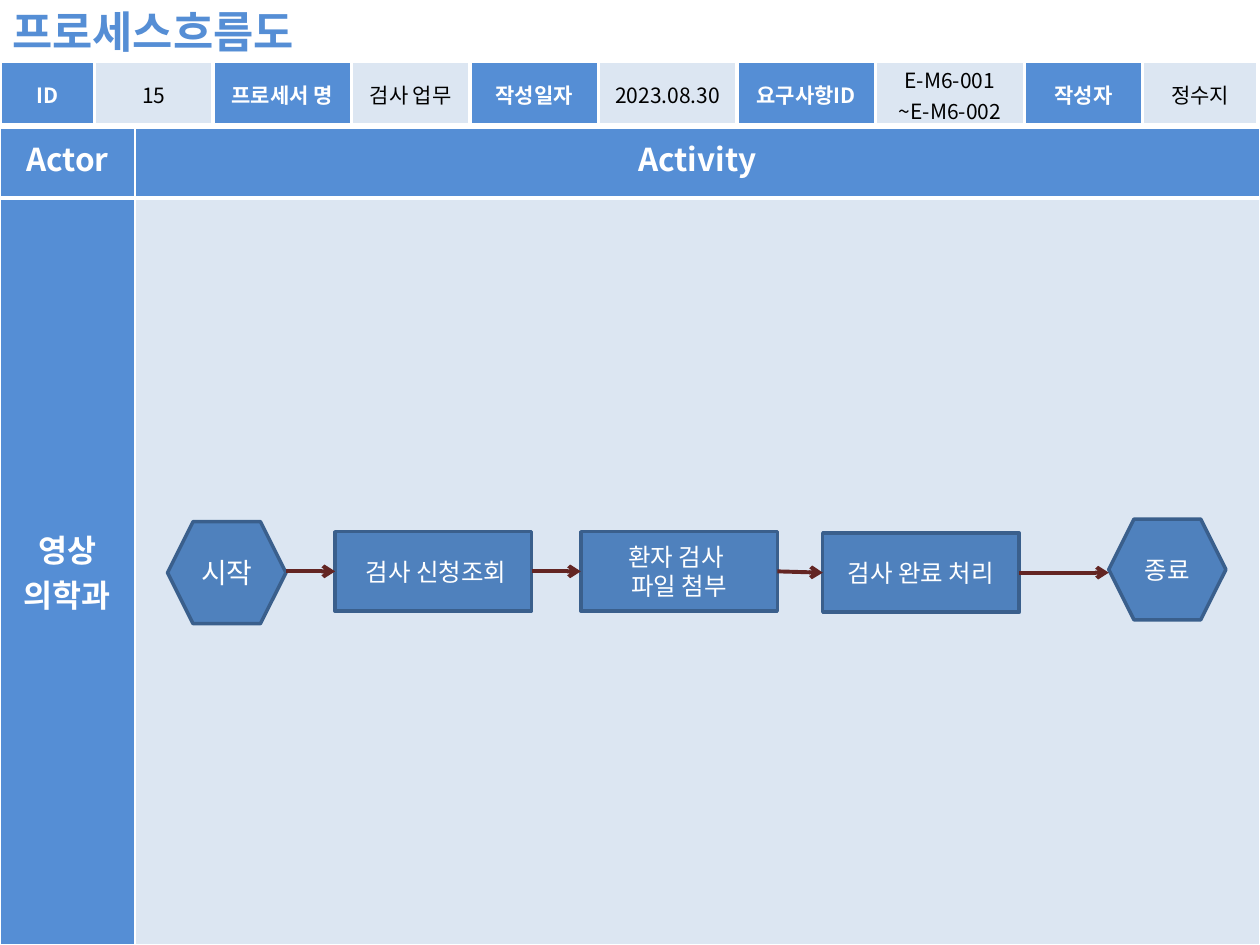
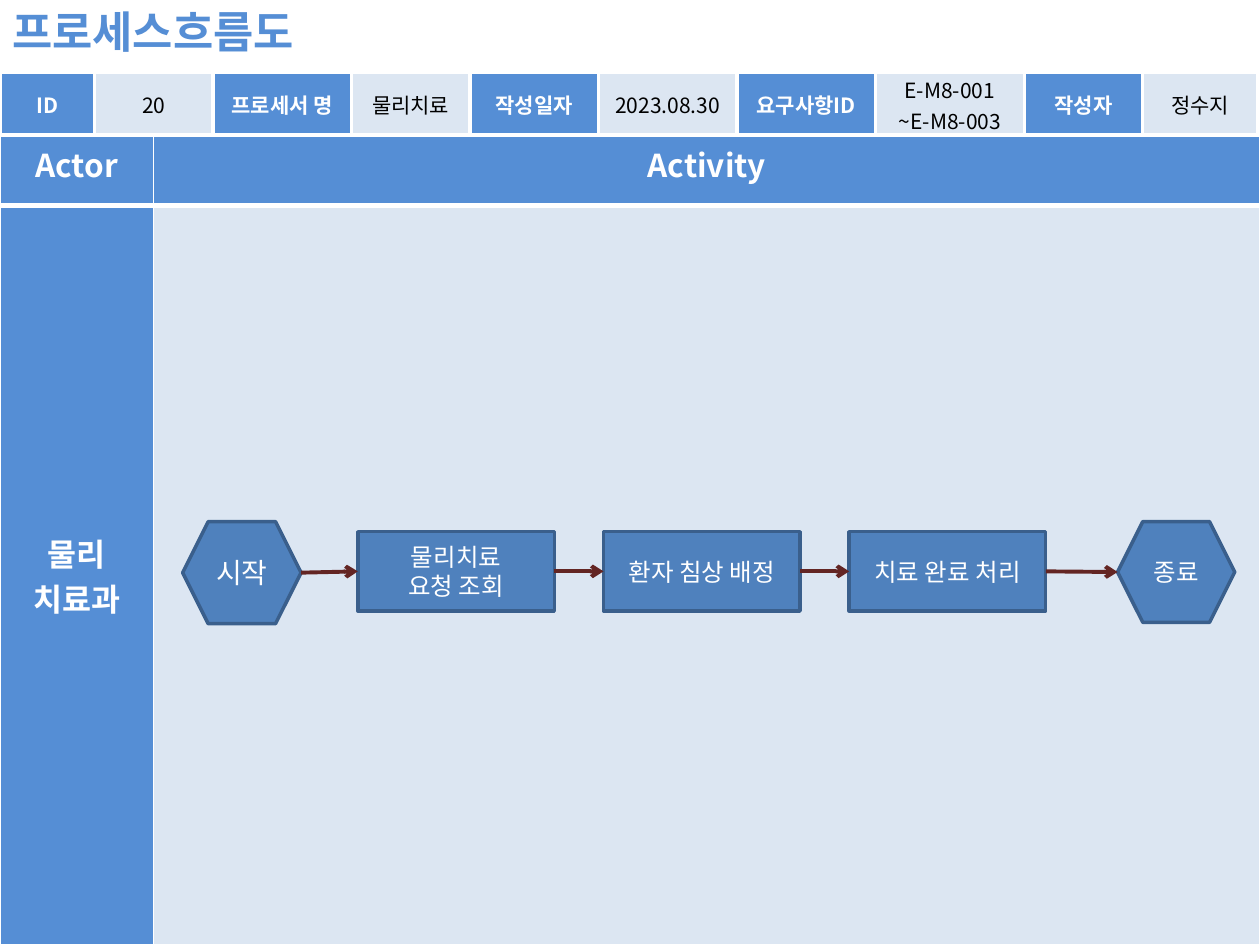
"""Build two process flow slides with a shared title, header strip and swimlane."""
from dataclasses import dataclass

from lxml import etree
from pptx import Presentation
from pptx import util as u
from pptx.dml import color
from pptx.enum import shapes, text
from pptx.oxml import ns

Inches, Pt = u.Inches, u.Pt
FONT = "Noto Sans CJK KR"
COLORS = {
    "band": "558ED5",
    "pale": "DCE6F2",
    "step": "4F81BD",
    "step_line": "3A5F8C",
    "arrow": "632523",
    "white": "FFFFFF",
    "black": "000000",
}
SLIDE_WIDTH, SLIDE_HEIGHT = 10, 7.5
HEADER_HEIGHT = 0.5
HEADER_WIDTHS = [0.75, 0.94, 1.1, 0.94, 1.02, 1.1, 1.1, 1.18, 0.94, 0.91]
HEADER_LABELS = ["ID", "프로세서 명", "작성일자", "요구사항ID", "작성자"]
STEP_WIDTH, STEP_HEIGHT = 1.56, 0.63
RECTANGLE = shapes.MSO_SHAPE.RECTANGLE
HEXAGON = shapes.MSO_SHAPE.HEXAGON
RIGHT_SITE, LEFT_SITE = 3, 1


@dataclass
class Node:
    label: str
    left: float
    top: float = 4.22
    width: float = STEP_WIDTH
    height: float = STEP_HEIGHT
    kind: shapes.MSO_SHAPE = RECTANGLE
    size: int = 14

    @property
    def middle(self) -> float:
        return self.top + self.height / 2


@dataclass
class Process:
    header_values: list[str]
    header_top: float
    lane_top: float
    actor_width: float
    title_row_height: float
    actor: str
    nodes: list[Node]
    level_links: bool


def start_node(left: float) -> Node:
    return Node("시작", left, 4.14, 0.94, 0.81, HEXAGON, 16)


def end_node(left: float, top: float) -> Node:
    return Node("종료", left, top, 0.93, 0.8, HEXAGON)


PROCESSES = [
    Process(
        ["15", "검사 업무", "2023.08.30", "E-M6-001\n~E-M6-002", "정수지"],
        0.49, 1.02, 1.07, 0.55, "영상\n의학과",
        [
            start_node(1.33),
            Node(" 검사 신청조회", 2.66),
            Node("환자 검사 \n파일 첨부", 4.61),
            Node("검사 완료 처리", 6.53, 4.23),
            end_node(8.8, 4.12),
        ],
        True,
    ),
    Process(
        ["20", "물리치료", "2023.08.30", "E-M8-001\n~E-M8-003", "정수지"],
        0.57, 1.07, 1.22, 0.56, "물리\n치료과",
        [
            start_node(1.45),
            Node("물리치료\n요청 조회", 2.84),
            Node("환자 침상 배정", 4.79),
            Node("치료 완료 처리", 6.74),
            end_node(8.87, 4.14),
        ],
        False,
    ),
]


def rgb(name: str) -> color.RGBColor:
    return color.RGBColor.from_string(COLORS[name])


def write(text_frame, label: str, size: int, color_name: str, bold: bool = False,
          align=text.PP_ALIGN.CENTER) -> None:
    text_frame.text = label
    for paragraph in text_frame.paragraphs:
        paragraph.alignment = align
        for run in paragraph.runs:
            font = run.font
            font.size, font.bold, font.name = Pt(size), bold, FONT
            font.color.rgb = rgb(color_name)
            for tag in ("a:ea", "a:cs"):
                etree.SubElement(font._element, ns.qn(tag), typeface=FONT)


def fill_cell(cell, fill_name: str, borders: dict[str, float]) -> None:
    cell.fill.solid()
    cell.fill.fore_color.rgb = rgb(fill_name)
    properties = cell._tc.get_or_add_tcPr()
    for index, (side, width) in enumerate(borders.items()):
        line = etree.Element(ns.qn(f"a:ln{side}"), w=str(int(Pt(width))))
        solid = etree.SubElement(line, ns.qn("a:solidFill"))
        etree.SubElement(solid, ns.qn("a:srgbClr"), val=COLORS["white"])
        properties.insert(index, line)


def add_table(slide, top: float, widths: list[float], heights: list[float]):
    table = slide.shapes.add_table(
        len(heights), len(widths), Inches(0), Inches(top),
        Inches(SLIDE_WIDTH), Inches(sum(heights))).table
    table.first_row = table.horz_banding = False
    for column, width in zip(table.columns, widths):
        column.width = Inches(width)
    for row, height in zip(table.rows, heights):
        row.height = Inches(height)
    return table


def add_title(slide) -> None:
    box = slide.shapes.add_textbox(Inches(0), Inches(-0.01), Inches(2.66), Inches(0.52))
    box.text_frame.word_wrap = False
    write(box.text_frame, "프로세스흐름도", 25, "band", True, text.PP_ALIGN.LEFT)


def add_header(slide, process: Process) -> None:
    table = add_table(slide, process.header_top, HEADER_WIDTHS, [HEADER_HEIGHT])
    for index, pair in enumerate(zip(HEADER_LABELS, process.header_values)):
        for offset, label in enumerate(pair):
            is_label = offset == 0
            cell = table.cell(0, 2 * index + offset)
            cell.margin_top, cell.margin_bottom = Inches(0.02), Inches(0)
            cell.vertical_anchor = text.MSO_ANCHOR.MIDDLE
            write(cell.text_frame, label, 12, "white" if is_label else "black", is_label)
            fill_cell(cell, "band" if is_label else "pale", dict.fromkeys("LRTB", 2.25))


def add_lane(slide, process: Process) -> None:
    heights = [process.title_row_height,
               SLIDE_HEIGHT - process.lane_top - process.title_row_height]
    widths = [process.actor_width, SLIDE_WIDTH - process.actor_width]
    table = add_table(slide, process.lane_top, widths, heights)
    title_borders = {"L": 1, "R": 1, "T": 1, "B": 3}
    body_borders = {"L": 1, "R": 1, "T": 3, "B": 1}
    for column, label in enumerate(["Actor", "Activity"]):
        write(table.cell(0, column).text_frame, label, 18, "white", True)
        fill_cell(table.cell(0, column), "band", title_borders)
    actor = table.cell(1, 0)
    actor.vertical_anchor = text.MSO_ANCHOR.MIDDLE
    write(actor.text_frame, process.actor, 18, "white", True)
    fill_cell(actor, "band", body_borders)
    fill_cell(table.cell(1, 1), "pale", body_borders)


def add_node(slide, node: Node):
    shape = slide.shapes.add_shape(
        node.kind, Inches(node.left), Inches(node.top),
        Inches(node.width), Inches(node.height))
    shape.shadow.inherit = False
    shape.fill.solid()
    shape.fill.fore_color.rgb = rgb("step")
    shape.line.color.rgb = rgb("step_line")
    shape.line.width = Pt(2)
    frame = shape.text_frame
    frame.word_wrap = True
    frame.margin_left = frame.margin_right = Inches(0)
    frame.vertical_anchor = text.MSO_ANCHOR.MIDDLE
    write(frame, node.label, node.size, "white")
    return shape


def add_link(slide, source: Node, target: Node, source_shape, target_shape,
             level: bool) -> None:
    start_y, end_y = source.middle, target.middle
    if level and source.kind == HEXAGON:
        start_y = end_y
    elif level and target.kind == HEXAGON:
        end_y = start_y
    connector = slide.shapes.add_connector(
        shapes.MSO_CONNECTOR.STRAIGHT,
        Inches(source.left + source.width), Inches(start_y),
        Inches(target.left), Inches(end_y))
    if source.kind == RECTANGLE:
        connector.begin_connect(source_shape, RIGHT_SITE)
    if target.kind == RECTANGLE:
        connector.end_connect(target_shape, LEFT_SITE)
    connector.line.color.rgb = rgb("arrow")
    connector.line.width = Pt(2.25)
    etree.SubElement(connector.line._get_or_add_ln(), ns.qn("a:tailEnd"), type="arrow")
    etree.SubElement(connector._element.spPr, ns.qn("a:effectLst"))


def add_process(presentation, process: Process) -> None:
    slide = presentation.slides.add_slide(presentation.slide_layouts[6])
    add_title(slide)
    add_lane(slide, process)
    add_header(slide, process)
    nodes = process.nodes
    drawn = [add_node(slide, node) for node in nodes]
    for source, target, *ends in zip(nodes, nodes[1:], drawn, drawn[1:]):
        add_link(slide, source, target, *ends, process.level_links)


def main() -> None:
    presentation = Presentation()
    presentation.slide_width = Inches(SLIDE_WIDTH)
    presentation.slide_height = Inches(SLIDE_HEIGHT)
    for process in PROCESSES:
        add_process(presentation, process)
    presentation.save("out.pptx")


if __name__ == "__main__":
    main()
